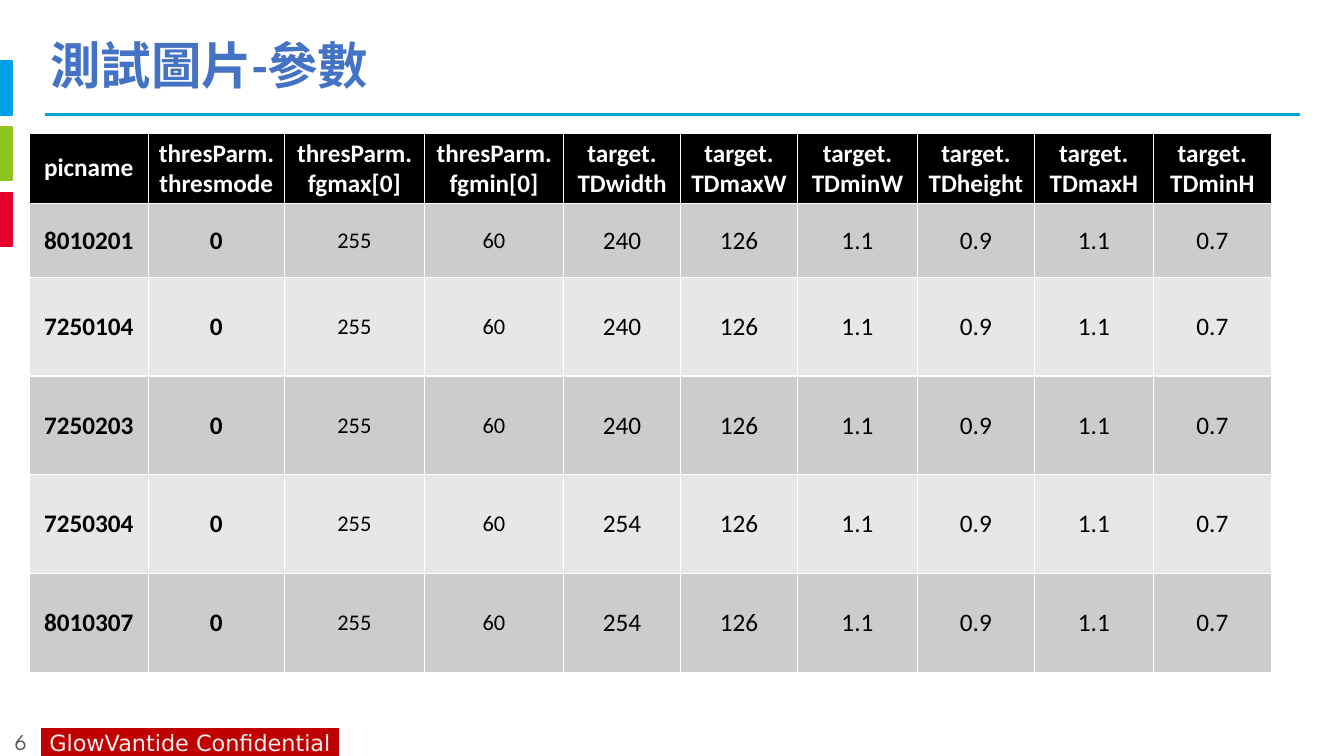
from dataclasses import dataclass
from typing import Any

from lxml.etree import SubElement
from pptx import Presentation
from pptx.dml.color import RGBColor as Rgb
from pptx.enum.shapes import MSO_CONNECTOR as Link, MSO_SHAPE as Kind
from pptx.enum.text import MSO_ANCHOR as Anchor, PP_ALIGN as Align
from pptx.oxml.ns import qn
from pptx.util import Emu, Pt

SCALE = 9144


@dataclass(frozen=True)
class Box:
    left: int
    top: int
    width: int
    height: int

    def emu(self) -> list[Emu]:
        return [px(n) for n in (self.left, self.top, self.width, self.height)]


@dataclass(frozen=True)
class Block:
    box: Box
    hue: str
    edge: float


def px(n: int) -> Emu:
    return Emu(n * SCALE)


def tint(code: str) -> Rgb:
    return Rgb.from_string(code)


def apply(item: Any, form: dict[str, Any]) -> None:
    for key, val in form.items():
        setattr(item, key, val)


def write(frame: Any, text: str, hue: str, form: dict[str, Any],
          align: Align = Align.CENTER) -> None:
    frame.text = text
    for para in frame.paragraphs:
        para.alignment = align
        for run in para.runs:
            apply(run.font, form)
            run.font.color.rgb = tint(hue)


def draw_block(slide: Any, block: Block) -> Any:
    shape = slide.shapes.add_shape(Kind.RECTANGLE, *block.box.emu())
    shape.shadow.inherit = False
    shape.fill.solid()
    shape.fill.fore_color.rgb = tint(block.hue)
    shape.line.color.rgb = tint(block.hue)
    shape.line.width = Pt(block.edge)
    return shape


def draw_rule(slide: Any, left: int, right: int, top: int) -> None:
    rule = slide.shapes.add_connector(Link.STRAIGHT, px(left), px(top), px(right), px(top))
    rule.line.color.rgb = tint("00A3DB")
    rule.line.width = Pt(2)
    SubElement(rule._element.spPr, qn("a:effectLst"))


def draw_title(slide: Any, text: str) -> None:
    title = slide.shapes.title
    apply(title, dict(zip(("left", "top", "width", "height"), Box(40, 28, 1205, 80).emu())))
    frame = title.text_frame
    write(frame, text, "4472C4", {"name": "Calibri", "size": Pt(36), "bold": True}, Align.LEFT)
    frame.vertical_anchor = Anchor.MIDDLE
    frame.paragraphs[0].line_spacing = 0.9


def draw_label(shape: Any, text: str, font: str, hue: str) -> None:
    frame = shape.text_frame
    apply(frame, {"word_wrap": False, "vertical_anchor": Anchor.MIDDLE,
                  "margin_top": px(4), "margin_bottom": px(4)})
    write(frame, text, hue, {"name": font, "size": Pt(16)})


def draw_table(slide: Any, rows: list[list[str]]) -> None:
    wide = [118, 135, 139, 138, 116, 116, 119, 116, 118, 117]
    high = [70, 73] + [98] * 4
    box = Box(29, 132, sum(wide), sum(high))
    table = slide.shapes.add_table(len(high), len(wide), *box.emu()).table
    for col, width in zip(table.columns, wide):
        col.width = px(width)
    for row, height in zip(table.rows, high):
        row.height = px(height)
    for r, texts in enumerate(rows):
        fill = "000000" if r == 0 else ("E7E7E7", "CCCCCC")[r % 2]
        for c, text in enumerate(texts):
            cell = table.cell(r, c)
            cell.vertical_anchor = Anchor.MIDDLE
            cell.fill.solid()
            cell.fill.fore_color.rgb = tint(fill)
            small = r > 0 and c in (2, 3)
            form = {"name": "Calibri", "size": Pt(16 if small else 18),
                    "bold": r == 0 or c < 2}
            write(cell.text_frame, text, "000000" if r else "FFFFFF", form)


def main() -> None:
    deck = Presentation()
    apply(deck, {"slide_width": px(1333), "slide_height": px(750)})
    slide = deck.slides.add_slide(deck.slide_layouts[5])

    page = slide.shapes.add_textbox(*Box(1, 722, 39, 28).emu())
    draw_label(page, "6", "League Spartan", "595959")
    draw_rule(slide, 45, 1289, 114)
    tag = draw_block(slide, Block(Box(41, 723, 295, 28), "C00000", 0.75))
    draw_label(tag, "GlowVantide Confidential", "DejaVu Sans", "EDEDED")
    for i, hue in enumerate(("00A0EB", "8CC31E", "E6002D")):
        draw_block(slide, Block(Box(0, 61 + 65 * i, 12, 53), hue, 1.35))
    draw_title(slide, "測試圖片-參數")

    heads = ["picname"]
    heads += [f"thresParm.{key}" for key in ("thresmode", "fgmax[0]", "fgmin[0]")]
    heads += [f"target.\nTD{key}" for key in ("width", "maxW", "minW", "height", "maxH", "minH")]
    widths = {"8010201": "240", "7250104": "240", "7250203": "240",
              "7250304": "254", "8010307": "254"}
    rows = [[name, "0", "255", "60", width, "126", "1.1", "0.9", "1.1", "0.7"]
            for name, width in widths.items()]
    draw_table(slide, [heads] + rows)
    deck.save("out.pptx")


if __name__ == "__main__":
    main()
